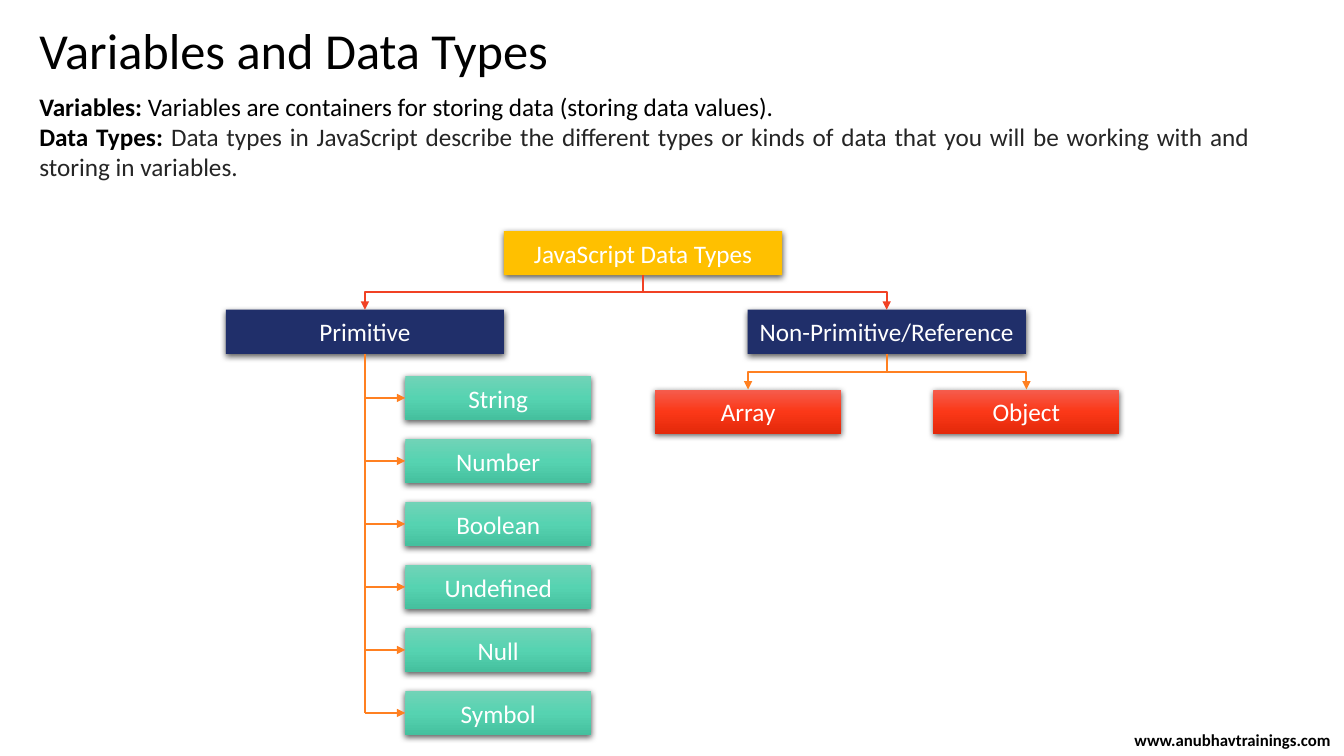
from dataclasses import dataclass

from lxml import etree
from pptx import Presentation
from pptx import util as u
from pptx.dml.color import RGBColor
from pptx.enum import shapes, text
from pptx.oxml import parse_xml
from pptx.oxml.ns import nsdecls, qn

PX = 9525


@dataclass(frozen=True)
class Theme:
    font: str = "Calibri"
    title: int = 36
    body: int = 18
    footer: int = 12
    black: str = "000000"
    grey: str = "252525"
    white: str = "FFFFFF"
    root: str = "FFC000"
    navy: str = "202F6A"
    green: tuple = ("71D3B7", "56D3B1", "45C09E")
    red: tuple = ("F55D4E", "FB3818", "E3290A")
    root_line: str = "F14124"
    leaf_line: str = "FF8021"
    line_width: float = 1.5


class Deck:
    """Draws text, boxes and connectors on one slide in a shared theme."""

    def __init__(self, theme):
        self.t = theme
        self.prs = Presentation()
        self.prs.slide_width, self.prs.slide_height = 1280 * PX, 720 * PX
        self.s = self.prs.slides.add_slide(self.prs.slide_layouts[6])

    def fill_text(self, sp, paragraphs, size, frame, para):
        tf = sp.text_frame
        for name, value in {"word_wrap": True, **frame}.items():
            setattr(tf, name, value)
        for i, runs in enumerate(paragraphs):
            p = tf.add_paragraph() if i else tf.paragraphs[0]
            for name, value in para.items():
                setattr(p, name, value)
            for words, color, bold in runs:
                r = p.add_run()
                r.text = words
                for name, value in {"name": self.t.font, "size": u.Pt(size), "bold": bold}.items():
                    setattr(r.font, name, value)
                r.font.color.rgb = RGBColor.from_string(color)

    def text(self, x, y, w, h, paragraphs, size, frame, para):
        sp = self.s.shapes.add_textbox(x * PX, y * PX, w * PX, h * PX)
        self.fill_text(sp, paragraphs, size, frame, para)

    def box(self, x, y, w, label, fill, h=42):
        sp = self.s.shapes.add_shape(shapes.MSO_SHAPE.RECTANGLE, x * PX, y * PX, w * PX, h * PX)
        sp.line.fill.background()
        if isinstance(fill, str):
            sp.fill.solid()
            sp.fill.fore_color.rgb = RGBColor.from_string(fill)
        else:
            stops = "".join(f'<a:gs pos="{i * 50000}"><a:srgbClr val="{c}"/></a:gs>'
                            for i, c in enumerate(fill))
            sp._element.spPr.find(qn("a:prstGeom")).addnext(parse_xml(
                f'<a:gradFill {nsdecls("a")} rotWithShape="1"><a:gsLst>{stops}</a:gsLst>'
                '<a:lin ang="5400000" scaled="0"/></a:gradFill>'))
        sp.shadow.inherit = False
        sp._element.spPr.find(qn("a:effectLst")).append(parse_xml(
            f'<a:outerShdw {nsdecls("a")} blurRad="57150" dist="19050" dir="5400000" '
            'algn="ctr" rotWithShape="0"><a:srgbClr val="000000">'
            '<a:alpha val="63000"/></a:srgbClr></a:outerShdw>'))
        self.fill_text(sp, [[(label, self.t.white, False)]], self.t.body,
                       {"vertical_anchor": text.MSO_ANCHOR.MIDDLE},
                       {"alignment": text.PP_ALIGN.CENTER})
        return sp

    def style_line(self, cxn, color, arrow=True):
        cxn.line.width = u.Pt(self.t.line_width)
        cxn.line.color.rgb = RGBColor.from_string(color)
        if arrow:
            ln = cxn._element.spPr.find(qn("a:ln"))
            etree.SubElement(ln, qn("a:tailEnd"), type="triangle")
        etree.SubElement(cxn._element.spPr, qn("a:effectLst"))

    def straight(self, x1, y1, x2, y2, color, begin=None, end=None, arrow=True):
        cxn = self.s.shapes.add_connector(shapes.MSO_CONNECTOR.STRAIGHT, x1, y1, x2, y2)
        if begin:
            cxn.begin_connect(*begin)
        if end:
            cxn.end_connect(*end)
        self.style_line(cxn, color, arrow)

    def elbow(self, parent, child, color):
        x1, y1 = parent.left + parent.width // 2, parent.top + parent.height
        x2, y2 = child.left + child.width // 2, child.top
        cxn = self.s.shapes.add_connector(shapes.MSO_CONNECTOR.ELBOW, x1, y1, x2, y2)
        cxn.begin_connect(parent, 2)
        cxn.end_connect(child, 0)
        run, drop = abs(x2 - x1), y2 - y1
        frame = {"left": (x1 + x2 - drop) // 2, "top": (y1 + y2 - run) // 2,
                 "width": drop, "height": run}
        for name, value in frame.items():
            setattr(cxn, name, value)
        right = x2 > x1
        xfrm = cxn._element.spPr.find(qn("a:xfrm"))
        for name, value in {"rot": "16200000" if right else "5400000",
                            "flipH": "1" if right else "0", "flipV": "0"}.items():
            xfrm.set(name, value)
        self.style_line(cxn, color)

    def bracket(self, parent, children, color):
        x, top = parent.left + parent.width // 2, parent.top + parent.height
        middles = [c.top + c.height // 2 for c in children]
        self.straight(x, top, x, middles[-1], color, begin=(parent, 2), arrow=False)
        for child, y in zip(children, middles):
            self.straight(x, y, child.left, y, color, end=(child, 1))


def main():
    t = Theme()
    d = Deck(t)
    d.text(28, 20, 1172, 62, [[("Variables and Data Types", t.black, False)]],
           t.title, {}, {"line_spacing": 0.9})
    d.text(28, 82, 1172, 97, [
        [("Variables: ", t.black, True),
         ("Variables are containers for storing data (storing data values).", t.black, False)],
        [("Data Types: ", t.black, True),
         ("Data types in JavaScript describe the different types or kinds of data that you "
          "will be working with and storing in variables.", t.grey, False)],
    ], t.body, {}, {"alignment": text.PP_ALIGN.JUSTIFY})
    d.text(1068, 697, 212, 15, [[("www.anubhavtrainings.com", t.black, True)]], t.footer,
           {"vertical_anchor": text.MSO_ANCHOR.MIDDLE}, {"alignment": text.PP_ALIGN.CENTER})

    root = d.box(480, 220, 265, "JavaScript Data Types", t.root)
    primitive = d.box(215, 295, 265, "Primitive", t.navy)
    reference = d.box(712, 295, 265, "Non-Primitive/Reference", t.navy)
    names = ["String", "Number", "Boolean", "Undefined", "Null", "Symbol"]
    primitives = [d.box(386, 358 + 60 * i, 177, name, t.green) for i, name in enumerate(names)]
    references = [d.box(624 + 265 * i, 371, 177, name, t.red)
                  for i, name in enumerate(["Array", "Object"])]

    for kind in (primitive, reference):
        d.elbow(root, kind, t.root_line)
    d.bracket(primitive, primitives, t.leaf_line)
    for leaf in references:
        d.elbow(reference, leaf, t.leaf_line)
    d.prs.save("out.pptx")


if __name__ == "__main__":
    main()
